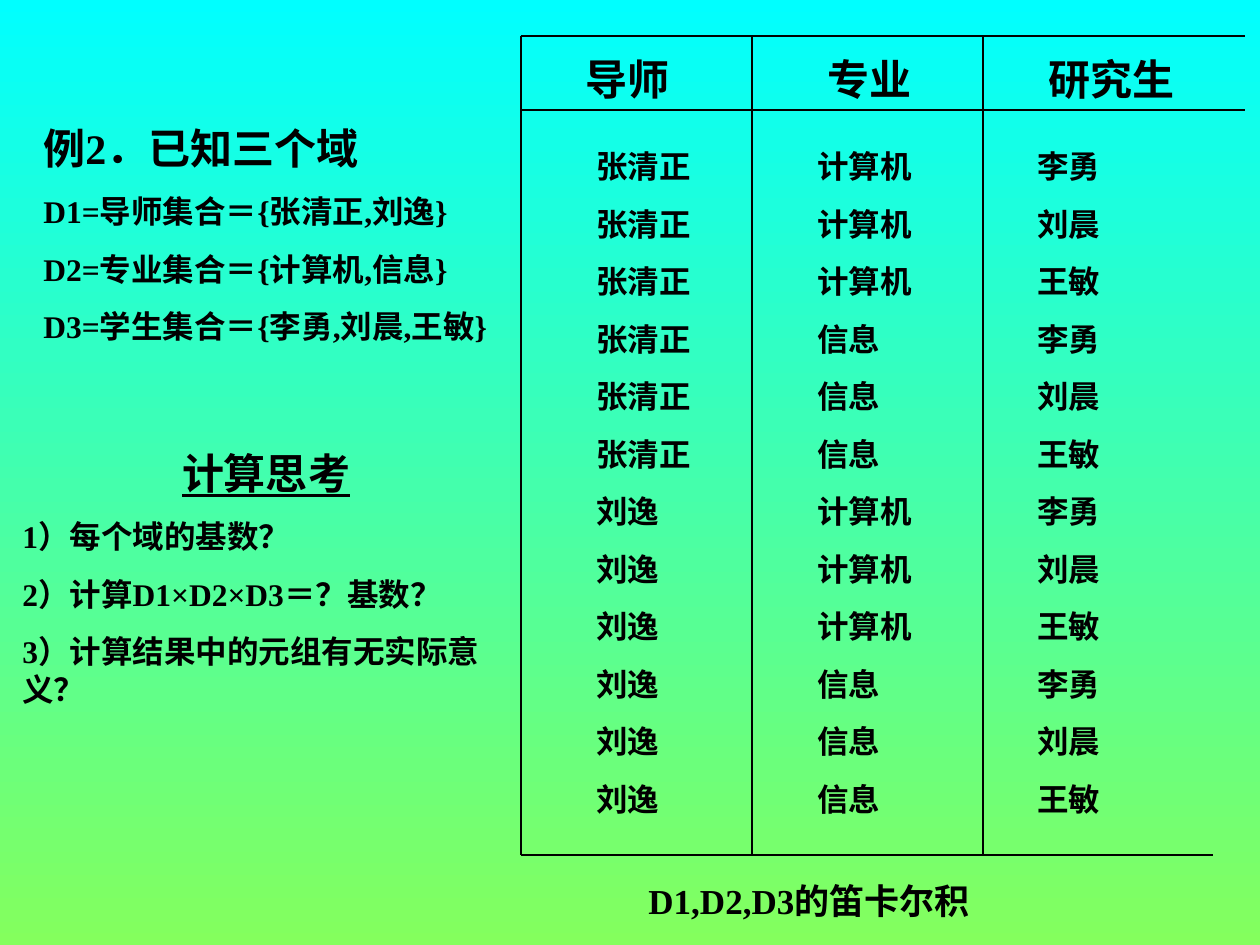
from dataclasses import dataclass
from itertools import product

from lxml.etree import SubElement
from pptx import Presentation
from pptx.dml.color import RGBColor as RGB
from pptx.enum.shapes import MSO_CONNECTOR as Connector
from pptx.enum.text import MSO_AUTO_SIZE as AutoSize, PP_ALIGN as Align
from pptx.oxml.ns import qn
from pptx.util import Emu, Pt

EMU_PER_PX = 914400 / 126


@dataclass(frozen=True)
class Theme:
    ink: RGB = RGB(0x00, 0x00, 0x00)
    sky: RGB = RGB(0x00, 0xFF, 0xFF)
    grass: RGB = RGB(0x84, 0xFF, 0x5D)
    font: str = "Times New Roman"
    heading: int = 24
    caption: int = 20
    body: int = 18
    gap: float = 0.625  # space before a paragraph, as a share of its type size
    rule: float = 0.75


THEME = Theme()

DOMAIN_HEADING = "例2．已知三个域"
DOMAINS = [
    "D1=导师集合＝{张清正,刘逸}",
    "D2=专业集合＝{计算机,信息}",
    "D3=学生集合＝{李勇,刘晨,王敏}",
]
QUESTION_HEADING = "计算思考"
QUESTIONS = [
    "1）每个域的基数？",
    "2）计算D1×D2×D3＝？基数？",
    "3）计算结果中的元组有无实际意义？",
]
SUPERVISORS = ["张清正", "刘逸"]
MAJORS = ["计算机", "信息"]
STUDENTS = ["李勇", "刘晨", "王敏"]
CAPTION = "D1,D2,D3的笛卡尔积"

# Column heading, left, width
COLUMN_HEADINGS = [("导师", 573, 114), ("专业", 815, 126), ("研究生", 1036, 158)]
HEADING_TOP, HEADING_HEIGHT = 47, 63
GRID_LEFT, GRID_TOP, GRID_BOTTOM = 521, 36, 855
COLUMN_WIDTH = 231
# Top and right end of each horizontal rule
ROW_RULES = [(GRID_TOP, 1245), (110, 1245), (GRID_BOTTOM, 1213)]
TUPLE_TABS = [221, 441]


def px(length):
    return Emu(round(length * EMU_PER_PX))


def set_values(target, values):
    for name, value in values.items():
        setattr(target, name, value)


def paint_background(page):
    fill = page.background.fill
    fill.gradient()
    fill.gradient_angle = 270
    for stop, color in zip(fill.gradient_stops, (THEME.sky, THEME.grass)):
        stop.color.rgb = color


def add_rule(page, start, end):
    rule = page.shapes.add_connector(Connector.STRAIGHT, *map(px, start + end))
    rule.line.color.rgb = THEME.ink
    rule.line.width = Pt(THEME.rule)
    SubElement(rule._element.spPr, qn("a:effectLst"))


def add_tabs(para, stops):
    tab_list = SubElement(para._p.get_or_add_pPr(), qn("a:tabLst"))
    for stop in stops:
        SubElement(tab_list, qn("a:tab"), pos=str(px(stop)), algn="l")


def write_para(para, text, size, align=None, underline=None, tabs=()):
    set_values(para, {"space_before": Pt(size * THEME.gap), "alignment": align})
    if tabs:
        add_tabs(para, tabs)
    span = para.add_run()
    span.text = text
    set_values(span.font, {
        "name": THEME.font,
        "size": Pt(size),
        "bold": True,
        "underline": underline,
    })
    span.font.color.rgb = THEME.ink


def add_text(page, bounds, paras):
    """Each item of paras holds the keyword arguments of write_para."""
    box = page.shapes.add_textbox(*map(px, bounds))
    frame = box.text_frame
    set_values(frame, {"word_wrap": True, "auto_size": AutoSize.SHAPE_TO_FIT_TEXT})
    for index, values in enumerate(paras):
        para = frame.add_paragraph() if index else frame.paragraphs[0]
        write_para(para, **values)


def body_paras(lines, **values):
    return [{"text": line, "size": THEME.body, **values} for line in lines]


def add_grid(page):
    for top, right in ROW_RULES:
        add_rule(page, (GRID_LEFT, top), (right, top))
    for column in range(len(COLUMN_HEADINGS)):
        left = GRID_LEFT + column * COLUMN_WIDTH
        add_rule(page, (left, GRID_TOP), (left, GRID_BOTTOM))


def add_product(page):
    """The Cartesian product: column headings above one line per tuple."""
    for text, left, width in COLUMN_HEADINGS:
        add_text(page, (left, HEADING_TOP, width, HEADING_HEIGHT),
                 [{"text": text, "size": THEME.heading}])
    tuples = ["\t".join(row) for row in product(SUPERVISORS, MAJORS, STUDENTS)]
    add_text(page, (584, 141, 661, 741), body_paras(tuples, tabs=TUPLE_TABS))


def main():
    deck = Presentation()
    set_values(deck, {"slide_width": px(1260), "slide_height": px(945)})
    page = deck.slides.add_slide(deck.slide_layouts[6])
    paint_background(page)

    domain_heading = {"text": DOMAIN_HEADING, "size": THEME.heading}
    add_text(page, (31, 116, 483, 273), [domain_heading, *body_paras(DOMAINS)])
    add_grid(page)
    add_product(page)
    add_text(page, (636, 873, 483, 55), [{"text": CAPTION, "size": THEME.caption}])
    question_heading = {"text": QUESTION_HEADING, "size": THEME.heading,
                        "align": Align.CENTER, "underline": True}
    # Narrow enough that the last question mark stays left of the grid
    add_text(page, (10, 441, 512, 236), [question_heading, *body_paras(QUESTIONS)])

    deck.save("out.pptx")


if __name__ == "__main__":
    main()
